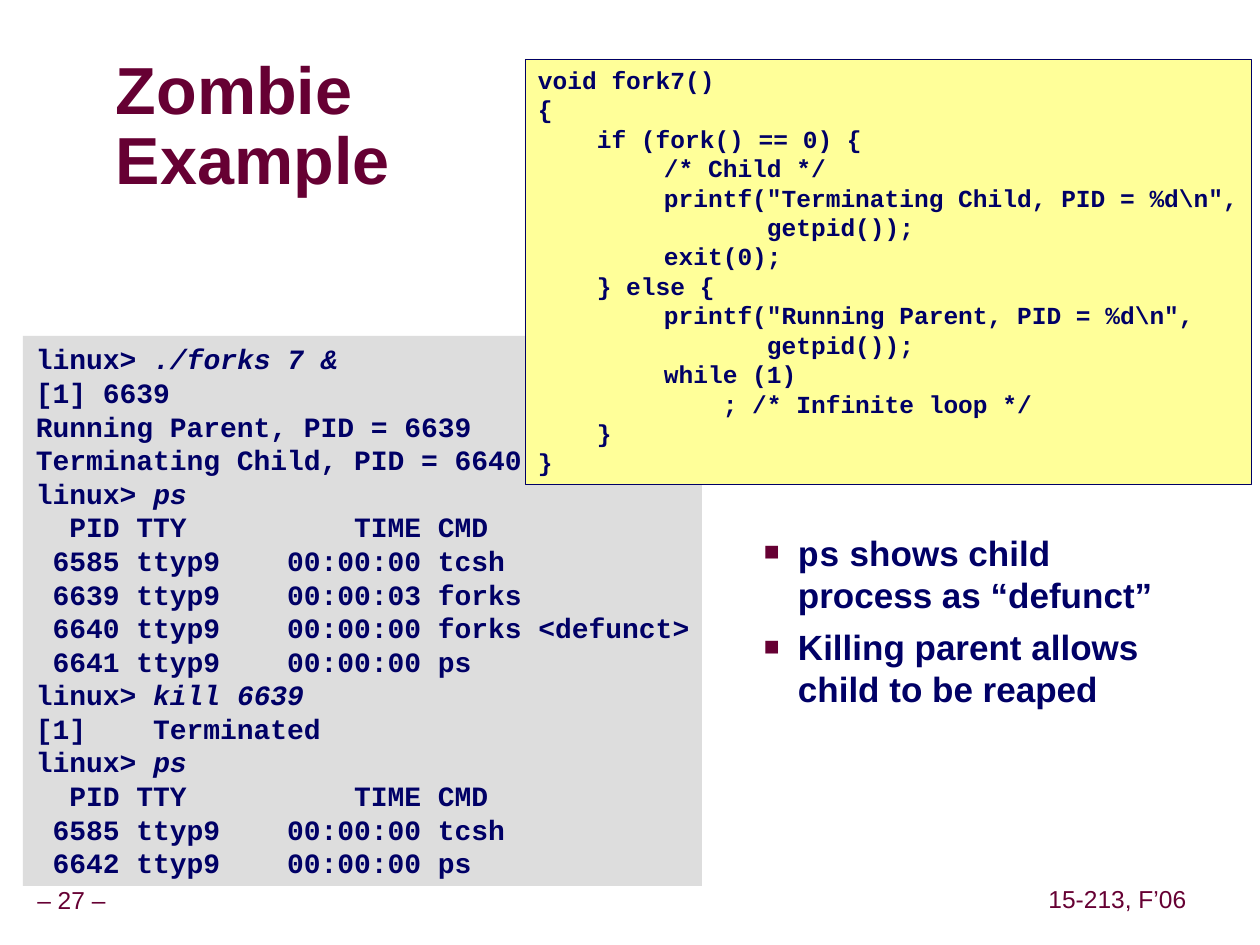
from lxml.etree import SubElement
from pptx import Presentation
from pptx.dml.color import RGBColor
from pptx.enum.shapes import MSO_SHAPE
from pptx.enum.text import MSO_ANCHOR, PP_ALIGN
from pptx.oxml.ns import qn
from pptx.util import Emu, Pt

MAROON = RGBColor(0x66, 0x00, 0x33)
NAVY = RGBColor(0x00, 0x00, 0x66)
GREY = RGBColor(0xDD, 0xDD, 0xDD)
SHADOW_GREY = RGBColor(0x96, 0x96, 0x96)
YELLOW = RGBColor(0xFF, 0xFF, 0x99)
SANS, MONO = "Arial", "Courier New"

# Each line is a list of (text, italic) pieces
PROCESS_HEADER = [("  PID TTY          TIME CMD", False)]
SHELL_PROCESS = [(" 6585 ttyp9    00:00:00 tcsh", False)]
PS_COMMAND = [("linux> ", False), ("ps", True)]
SESSION = [
    [("linux> ", False), ("./forks 7 &", True)],
    [("[1] 6639", False)],
    [("Running Parent, PID = 6639", False)],
    [("Terminating Child, PID = 6640", False)],
    PS_COMMAND,
    PROCESS_HEADER,
    SHELL_PROCESS,
    [(" 6639 ttyp9    00:00:03 forks", False)],
    [(" 6640 ttyp9    00:00:00 forks <defunct>", False)],
    [(" 6641 ttyp9    00:00:00 ps", False)],
    [("linux>", False), (" kill 6639", True)],
    [("[1]    Terminated", False)],
    PS_COMMAND,
    PROCESS_HEADER,
    SHELL_PROCESS,
    [(" 6642 ttyp9    00:00:00 ps", False)],
]

CODE = r"""void fork7()
{
    if (fork() == 0) {
	/* Child */
	printf("Terminating Child, PID = %d\n",
	       getpid());
	exit(0);
    } else {
	printf("Running Parent, PID = %d\n",
	       getpid());
	while (1)
	    ; /* Infinite loop */
    }
}"""

BULLETS = [
    [("ps", MONO), (" shows child process as “defunct”", SANS)],
    [("Killing parent allows child to be reaped", SANS)],
]


def px(length):
    return Emu(round(length * 914400 / 126))


def place(shape, left, top, width, height):
    shape.left, shape.top = px(left), px(top)
    shape.width, shape.height = px(width), px(height)


def set_frame(frame, side=13, edge=6, anchor=MSO_ANCHOR.TOP, wrap=True):
    frame.margin_left = frame.margin_right = px(side)
    frame.margin_top = frame.margin_bottom = px(edge)
    frame.vertical_anchor = anchor
    frame.word_wrap = wrap


def add_text(para, text, size=16, font=SANS, color=NAVY, bold=True, italic=False):
    span = para.add_run()
    span.text = text
    span.font.size, span.font.name = Pt(size), font
    span.font.bold, span.font.italic = bold, italic
    span.font.color.rgb = color
    return span


def paragraphs(frame, items):
    """Yield a paragraph of the frame for each item."""
    for index, item in enumerate(items):
        yield (frame.add_paragraph() if index else frame.paragraphs[0]), item


def add_tab_stop(para, position):
    tabs = SubElement(para._p.get_or_add_pPr(), qn("a:tabLst"))
    SubElement(tabs, qn("a:tab"), pos=str(px(position)), algn="l")


def add_shadow(span):
    effects = SubElement(span.font._element, qn("a:effectLst"))
    shadow = SubElement(effects, qn("a:outerShdw"), dist="38100", dir="2700000")
    SubElement(shadow, qn("a:srgbClr"), val=str(SHADOW_GREY))
    # Effects stand before the typeface
    span.font._element.find(qn("a:latin")).addprevious(effects)


def add_bullet(para):
    properties = para._p.get_or_add_pPr()
    properties.set("marL", str(px(102)))
    properties.set("indent", str(px(-34)))
    color = SubElement(properties, qn("a:buClr"))
    SubElement(color, qn("a:srgbClr"), val=str(MAROON))
    SubElement(properties, qn("a:buSzPct"), val="75000")
    SubElement(properties, qn("a:buFont"), typeface=SANS)
    SubElement(properties, qn("a:buChar"), char="■")


def add_panel(slide, bounds, fill, lines, size, outline=None):
    panel = slide.shapes.add_shape(MSO_SHAPE.RECTANGLE, *map(px, bounds))
    panel.shadow.inherit = False
    panel.fill.solid()
    panel.fill.fore_color.rgb = fill
    if outline is None:
        panel.line.fill.background()
    else:
        panel.line.color.rgb = outline
        panel.line.width = Pt(0.25)
    set_frame(panel.text_frame, wrap=False)
    for para, pieces in paragraphs(panel.text_frame, lines):
        para.alignment = PP_ALIGN.LEFT
        add_tab_stop(para, 126)
        for text, italic in pieces:
            add_text(para, text, size=size, font=MONO, italic=italic)


def add_footer(slide, bounds, text):
    box = slide.shapes.add_textbox(*map(px, bounds))
    set_frame(box.text_frame, side=6, anchor=MSO_ANCHOR.MIDDLE, wrap=False)
    para = box.text_frame.paragraphs[0]
    para.alignment = PP_ALIGN.CENTER
    para.line_spacing = 0.9
    add_text(para, text, size=14, color=MAROON, bold=False)


def fill_title(title):
    place(title, 116, 53, 276, 151)
    set_frame(title.text_frame, side=0, edge=0, anchor=MSO_ANCHOR.MIDDLE)
    para = title.text_frame.paragraphs[0]
    para.alignment = PP_ALIGN.LEFT
    para.line_spacing = 0.87
    for index, word in enumerate(("Zombie", "Example")):
        if index:
            para.add_line_break()
        add_shadow(add_text(para, word, size=38, color=MAROON))


def fill_body(body):
    place(body, 683, 525, 503, 363)
    set_frame(body.text_frame)
    for index, (para, pieces) in enumerate(paragraphs(body.text_frame, BULLETS)):
        para.level = 1
        add_bullet(para)
        para.space_before = Pt(6.2 if index else 0)
        for text, font in pieces:
            add_text(para, text, size=20, font=font)


def main():
    deck = Presentation()
    deck.slide_width, deck.slide_height = px(1260), px(945)
    page = deck.slides.add_slide(deck.slide_layouts[1])

    # Footer
    add_footer(page, (-11, 882, 165, 39), "– 27 –")
    add_footer(page, (1042, 881, 151, 39), "15-213, F’06")

    # Title and remarks
    fill_title(page.shapes.title)
    fill_body(page.placeholders[1])

    # Shell session, with the source code overlapping it
    add_panel(page, (23, 336, 679, 550), GREY, SESSION, 16)
    code_lines = [[(line, False)] for line in CODE.split("\n")]
    add_panel(page, (525, 59, 726, 425), YELLOW, code_lines, 14, outline=NAVY)

    deck.save("out.pptx")


if __name__ == "__main__":
    main()
